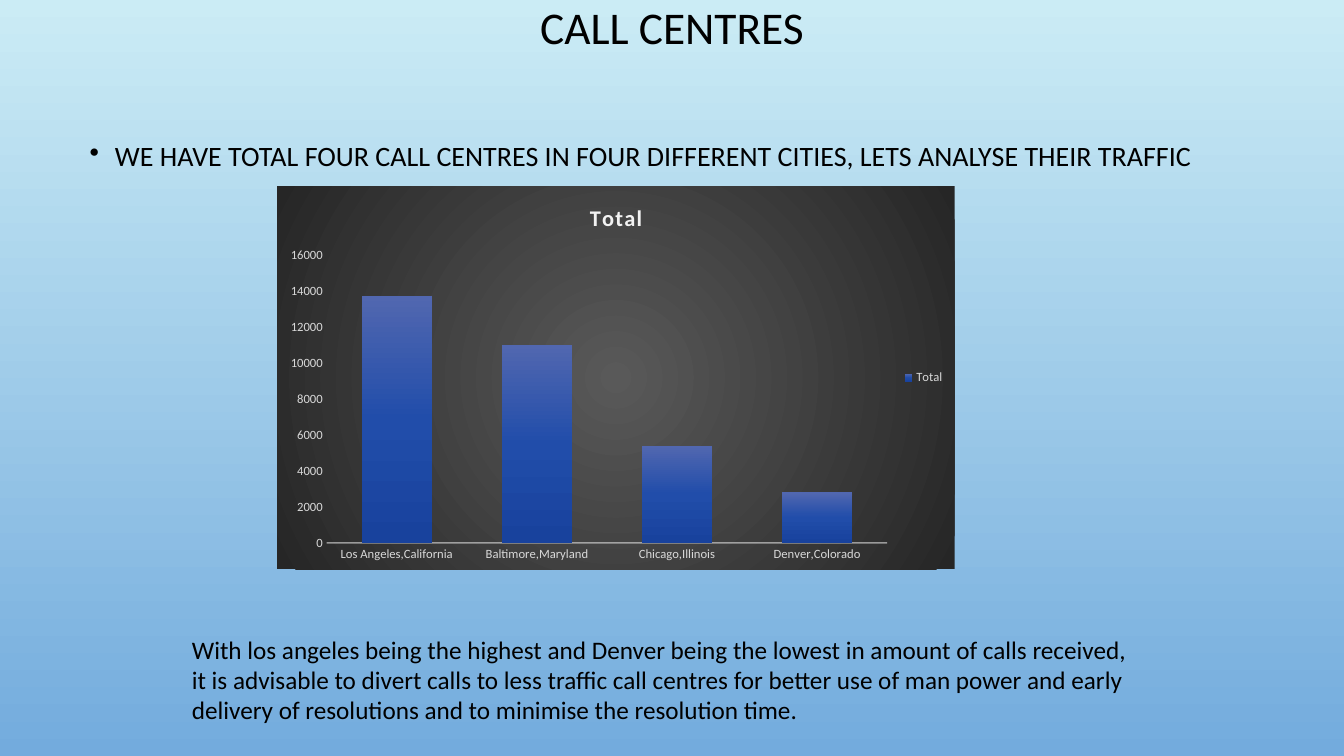
from lxml.etree import SubElement
from pptx import Presentation
from pptx.chart.data import CategoryChartData
from pptx.dml.color import RGBColor
from pptx.enum.chart import XL_CHART_TYPE, XL_LEGEND_POSITION, XL_TICK_MARK
from pptx.enum.text import MSO_ANCHOR, PP_ALIGN
from pptx.oxml import parse_xml
from pptx.oxml.ns import nsdecls, qn
from pptx.util import Pt

FONT = "Calibri"
BLACK = RGBColor(0x00, 0x00, 0x00)
SKY_TOP = RGBColor(0xCB, 0xEC, 0xF5)
SKY_BOTTOM = RGBColor(0x73, 0xAB, 0xDD)
LABEL_GREY = RGBColor(0xD9, 0xD9, 0xD9)
NEAR_WHITE = RGBColor(0xF2, 0xF2, 0xF2)
PANEL_STOPS = [(0, RGBColor(0x59, 0x59, 0x59)), (100, RGBColor(0x26, 0x26, 0x26))]
BAR_STOPS = [
    (0, RGBColor(0x51, 0x67, 0xB0)),
    (50, RGBColor(0x21, 0x4D, 0xAA)),
    (100, RGBColor(0x18, 0x42, 0x9D)),
]
DOWNWARD = '<a:lin ang="5400000" scaled="0"/>'
RADIAL = '<a:path path="circle"><a:fillToRect l="50000" t="50000" r="50000" b="50000"/></a:path>'

CALLS = {
    "Los Angeles,California": 13700,
    "Baltimore,Maryland": 11000,
    "Chicago,Illinois": 5400,
    "Denver,Colorado": 2800,
}


def set_font(font, size, color, bold=False):
    font.name, font.size, font.bold = FONT, Pt(size), bold
    font.color.rgb = color


def gradient_xml(stops, direction):
    stop_xml = "".join(
        f'<a:gs pos="{position * 1000}"><a:srgbClr val="{color}"/></a:gs>'
        for position, color in stops
    )
    return f'<a:gradFill {nsdecls("a")}><a:gsLst>{stop_xml}</a:gsLst>{direction}</a:gradFill>'


def add_background(slide):
    fill = slide.background.fill
    fill.gradient()
    fill.gradient_angle = 270
    for stop, color in zip(fill.gradient_stops, (SKY_TOP, SKY_BOTTOM)):
        stop.color.rgb = color


def add_text(slide, box, text, size):
    shape = slide.shapes.add_textbox(*map(Pt, box))
    shape.text_frame.word_wrap = True
    paragraph = shape.text_frame.paragraphs[0]
    paragraph.text = text
    set_font(paragraph.font, size, BLACK)
    return shape.text_frame, paragraph


def add_title(slide, box):
    frame, paragraph = add_text(slide, box, "CALL CENTRES", 32.4)
    frame.vertical_anchor = MSO_ANCHOR.MIDDLE
    paragraph.alignment = PP_ALIGN.CENTER
    paragraph.line_spacing = 0.9


def add_bullet(slide, box):
    text = "WE HAVE TOTAL FOUR CALL CENTRES IN FOUR DIFFERENT CITIES, LETS ANALYSE THEIR TRAFFIC"
    frame, paragraph = add_text(slide, box, text, 20)
    paragraph.line_spacing = 1.2
    # Hanging bullet, placed before the default run properties
    properties = paragraph._p.get_or_add_pPr()
    properties.set("marL", str(Pt(18)))
    properties.set("indent", str(-Pt(18)))
    bullet = parse_xml(f'<a:buChar {nsdecls("a")} char="•"/>')
    properties.find(qn("a:defRPr")).addprevious(bullet)


def add_conclusion(slide, box):
    add_text(
        slide, box,
        "With los angeles being the highest and Denver being the lowest in amount of calls "
        "received, it is advisable to divert calls to less traffic call centres for better use "
        "of man power and early delivery of resolutions and to minimise the resolution time.",
        18,
    )


def style_axes(chart):
    for axis in (chart.category_axis, chart.value_axis):
        axis.major_tick_mark = axis.minor_tick_mark = XL_TICK_MARK.NONE
        axis.has_major_gridlines = False
        set_font(axis.tick_labels.font, 9, LABEL_GREY)
    chart.value_axis.format.line.fill.background()
    chart.value_axis.minimum_scale = 0
    chart.value_axis.maximum_scale = 16000
    chart.value_axis.major_unit = 2000

    # Translucent category line
    line = chart.category_axis.format.line
    line.width = Pt(1)
    line.color.rgb = NEAR_WHITE
    axis_element = chart.category_axis._element
    line_color = axis_element.find(f'{qn("c:spPr")}/{qn("a:ln")}//{qn("a:srgbClr")}')
    SubElement(line_color, qn("a:alpha")).set("val", "54000")


def add_call_chart(slide, box):
    data = CategoryChartData()
    data.categories = list(CALLS)
    data.add_series("Total", list(CALLS.values()))
    chart = slide.shapes.add_chart(
        XL_CHART_TYPE.COLUMN_CLUSTERED, *map(Pt, box), data
    ).chart
    set_font(chart.font, 10, BLACK)
    style_axes(chart)

    # Title
    chart.has_title = True
    title_frame = chart.chart_title.text_frame
    title_frame.text = "Total"
    title_font = title_frame.paragraphs[0].runs[0].font
    set_font(title_font, 16, NEAR_WHITE, bold=True)
    title_font._element.set("spc", "100")
    chart.chart_title.include_in_layout = False

    # Legend
    chart.has_legend = True
    chart.legend.position = XL_LEGEND_POSITION.RIGHT
    chart.legend.include_in_layout = False
    set_font(chart.legend.font, 9, LABEL_GREY)

    # Bars
    plot = chart.plots[0]
    plot.gap_width, plot.overlap = 100, -24
    plot.vary_by_categories = False
    series = plot.series[0]
    series.format.line.fill.background()
    bar_fill = parse_xml(gradient_xml(BAR_STOPS, DOWNWARD))
    series._element.find(qn("c:spPr")).insert(0, bar_fill)

    # Dark panel
    panel = parse_xml(
        f'<c:spPr {nsdecls("c", "a")}>{gradient_xml(PANEL_STOPS, RADIAL)}'
        "<a:ln><a:noFill/></a:ln></c:spPr>"
    )
    chart._chartSpace.find(qn("c:chart")).addnext(panel)


def main():
    presentation = Presentation()
    presentation.slide_width, presentation.slide_height = Pt(960), Pt(540)
    slide = presentation.slides.add_slide(presentation.slide_layouts[6])
    add_background(slide)
    add_title(slide, (72, 6.5, 816, 29.5))
    add_bullet(slide, (57, 90.7, 816, 61))
    add_call_chart(slide, (198, 133, 484, 273.6))
    add_conclusion(slide, (130, 449.3, 687, 72.7))
    presentation.save("out.pptx")


if __name__ == "__main__":
    main()
